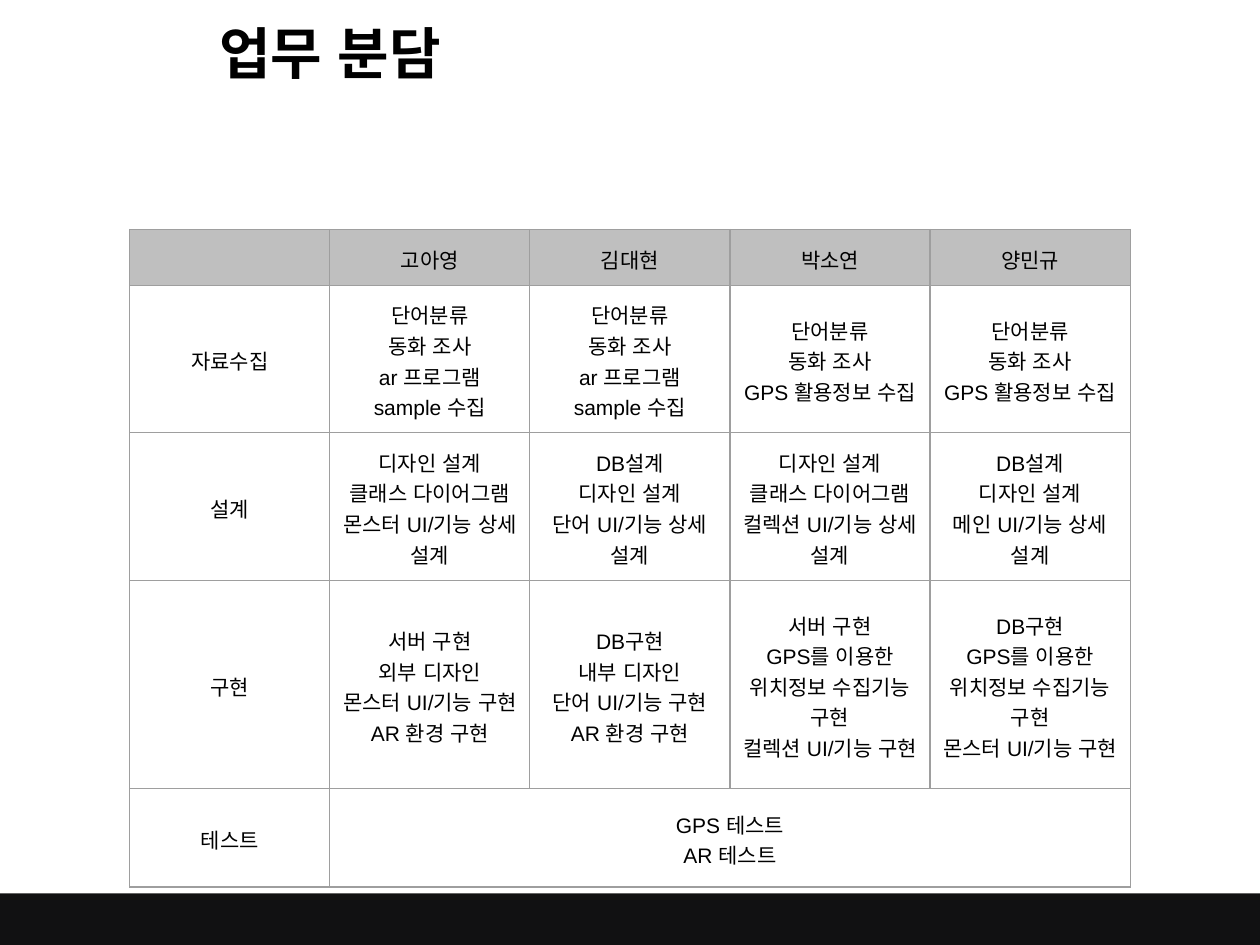
from dataclasses import dataclass

from lxml import etree
from pptx import Presentation
from pptx import util as u
from pptx.dml.color import RGBColor
from pptx.enum import shapes, text
from pptx.oxml.ns import qn


@dataclass(frozen=True)
class Theme:
    font: str = "Arial"
    ink: str = "000000"
    header: str = "BFBFBF"
    border: str = "9E9E9E"
    footer: str = "111112"
    title_size: int = 32
    cell_size: int = 12
    cell_spacing: float = 1.3
    border_width: float = 0.75
    inset: float = 0.1


HEADER = ["", "고아영", "김대현", "박소연", "양민규"]

BASICS = "단어분류\n동화 조사\n"
AR_RESEARCH = BASICS + "ar 프로그램 sample 수집"
GPS_RESEARCH = BASICS + "GPS 활용정보 수집"
CLASS_DESIGN = "디자인 설계\n클래스 다이어그램\n{} UI/기능 상세 설계"
DB_DESIGN = "DB설계\n디자인 설계\n{} UI/기능 상세 설계"
AR_BUILD = "{}\n{} 디자인\n{} UI/기능 구현\nAR 환경 구현"
GPS_BUILD = "{}\nGPS를 이용한 위치정보 수집기능 구현\n{} UI/기능 구현"

ROWS = [
    HEADER,
    ["자료수집", AR_RESEARCH, AR_RESEARCH, GPS_RESEARCH, GPS_RESEARCH],
    ["설계", CLASS_DESIGN.format("몬스터"), DB_DESIGN.format("단어"),
     CLASS_DESIGN.format("컬렉션"), DB_DESIGN.format("메인")],
    ["구현", AR_BUILD.format("서버 구현", "외부", "몬스터"),
     AR_BUILD.format("DB구현", "내부", "단어"),
     GPS_BUILD.format("서버 구현", "컬렉션"),
     GPS_BUILD.format("DB구현", "몬스터")],
    ["테스트", "GPS 테스트\nAR 테스트"],
]
ROW_HEIGHTS = [0.37, 1.04, 0.78, 1.28, 0.78]
TABLE_WIDTH = 7.94


class SlideBuilder:
    def __init__(self, presentation, theme):
        self.theme = theme
        self.width = presentation.slide_width
        self.height = presentation.slide_height
        self.slide = presentation.slides.add_slide(presentation.slide_layouts[5])

    def box(self, left, top, width, height):
        """Turn shares of the slide into lengths."""
        return [round(share * side) for share, side in
                zip((left, top, width, height), (self.width, self.height) * 2)]

    def apply(self, target, values):
        for name, value in values.items():
            setattr(target, name, value)

    def format_run(self, run, size, bold=False):
        self.apply(run.font, {"name": self.theme.font, "size": u.Pt(size), "bold": bold})
        run.font.color.rgb = RGBColor.from_string(self.theme.ink)
        east_asian = etree.SubElement(run.font._element, qn("a:ea"))
        east_asian.set("typeface", self.theme.font)

    def margins(self):
        return {"margin_" + side: u.Inches(self.theme.inset)
                for side in ("left", "top", "right", "bottom")}

    def title(self, wording, *place):
        title = self.slide.shapes.title
        self.apply(title, dict(zip(("left", "top", "width", "height"), self.box(*place))))
        frame = title.text_frame
        frame.text = wording
        self.apply(frame, self.margins() | {
            "word_wrap": True,
            "auto_size": text.MSO_AUTO_SIZE.NONE,
            "vertical_anchor": text.MSO_ANCHOR.MIDDLE,
        })
        paragraph = frame.paragraphs[0]
        paragraph.alignment = text.PP_ALIGN.LEFT
        self.format_run(paragraph.runs[0], self.theme.title_size, bold=True)

    def bar(self, *place):
        bar = self.slide.shapes.add_shape(shapes.MSO_SHAPE.RECTANGLE, *self.box(*place))
        bar.shadow.inherit = False
        bar.fill.solid()
        bar.fill.fore_color.rgb = RGBColor.from_string(self.theme.footer)
        bar.line.fill.background()

    def borders(self, cell):
        properties = cell._tc.get_or_add_tcPr()
        for position, side in enumerate(("a:lnL", "a:lnR", "a:lnT", "a:lnB")):
            line = etree.Element(qn(side), w=str(u.Pt(self.theme.border_width)))
            fill = etree.SubElement(line, qn("a:solidFill"))
            etree.SubElement(fill, qn("a:srgbClr"), val=self.theme.border)
            properties.insert(position, line)

    def cell(self, cell, wording, is_header):
        cell.text = wording
        self.apply(cell, self.margins() | {"vertical_anchor": text.MSO_ANCHOR.MIDDLE})
        if is_header:
            cell.fill.solid()
            cell.fill.fore_color.rgb = RGBColor.from_string(self.theme.header)
        else:
            cell.fill.background()
        self.borders(cell)
        for paragraph in cell.text_frame.paragraphs:
            self.apply(paragraph, {"alignment": text.PP_ALIGN.CENTER,
                                   "line_spacing": self.theme.cell_spacing})
            for run in paragraph.runs:
                self.format_run(run, self.theme.cell_size)
            if not paragraph.runs:
                end = etree.SubElement(paragraph._p, qn("a:endParaRPr"))
                end.set("sz", str(self.theme.cell_size * 100))

    def table(self, rows, heights, width, left, top):
        """Build the grid; a short row stretches its last cell to the right edge."""
        count = len(rows[0])
        place = self.box(left, top, 0, 0)[:2]
        table = self.slide.shapes.add_table(
            len(rows), count, *place, u.Inches(width), u.Inches(sum(heights))).table
        self.apply(table, {"first_row": False, "horz_banding": False})
        for column in table.columns:
            column.width = u.Inches(width / count)
        for index, (row, height) in enumerate(zip(rows, heights)):
            table.rows[index].height = u.Inches(height)
            for column in range(count):
                wording = row[column] if column < len(row) else ""
                self.cell(table.cell(index, column), wording, index == 0)
            if len(row) < count:
                table.cell(index, len(row) - 1).merge(table.cell(index, count - 1))


def main():
    presentation = Presentation()
    presentation.slide_width = u.Inches(10)
    presentation.slide_height = u.Inches(7.5)
    builder = SlideBuilder(presentation, Theme())
    builder.title("업무 분담", 1.64 / 10, -0.01 / 7.5, 8.02 / 10, 0.85 / 7.5)
    builder.table(ROWS, ROW_HEIGHTS, TABLE_WIDTH, 1.03 / 10, 1.82 / 7.5)
    builder.bar(0, 7.09 / 7.5, 1, 0.51 / 7.5)
    presentation.save("out.pptx")


if __name__ == "__main__":
    main()
